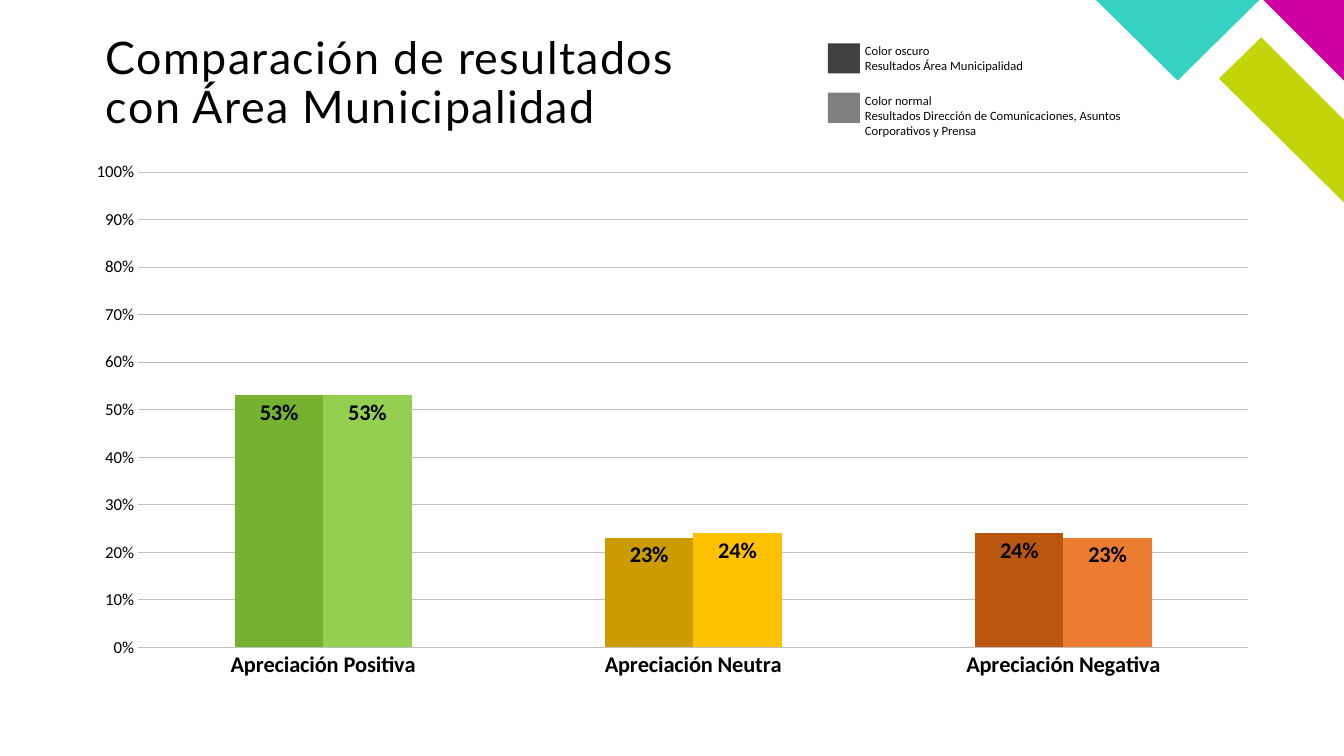
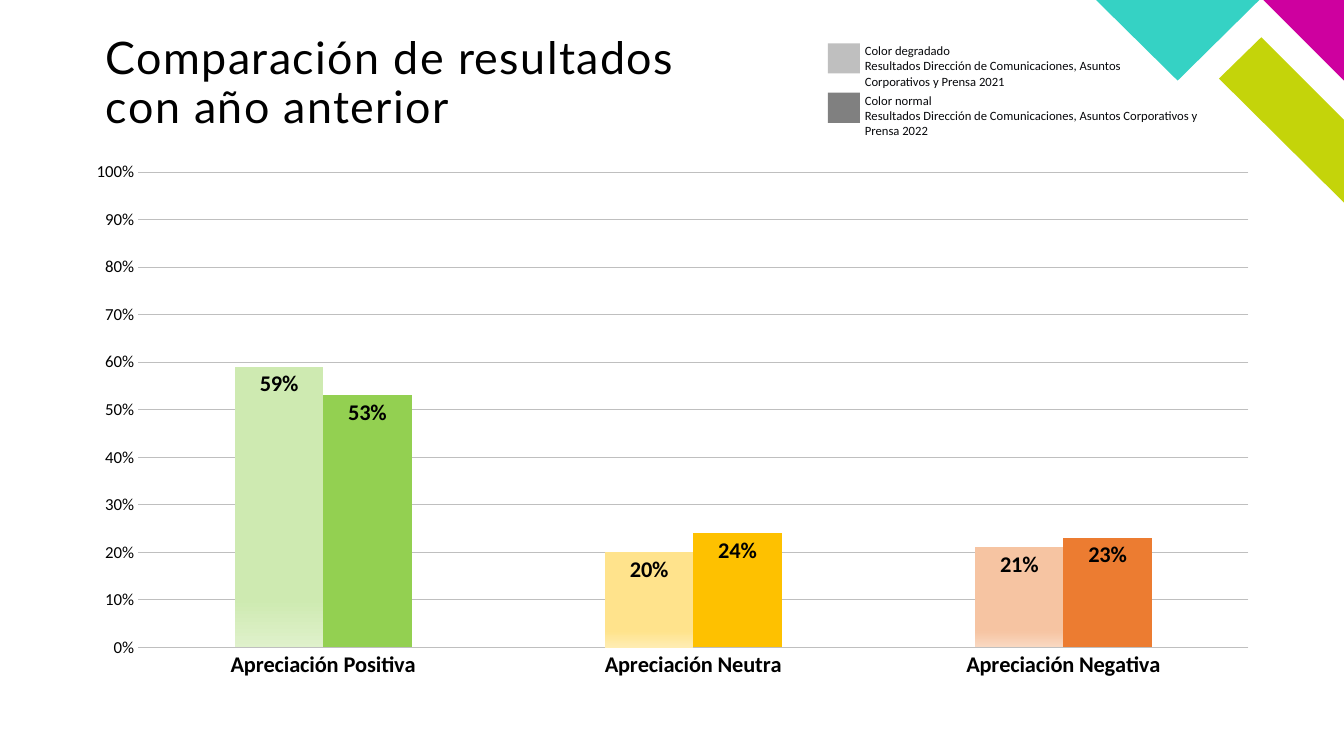
"""Build two slides that compare appreciation results in clustered columns."""
from pptx import Presentation
from pptx import util as u
from pptx.chart import data as chart_data
from pptx.dml import color
from pptx.enum import chart as ch, shapes

PX = 9144
CORNER = [
    ("C4D40A", [(1333, 201), (1333, 119), (1251, 37), (1209, 78)]),
    ("CE009F", [(1333, 80), (1333, 0), (1253, 0)]),
    ("35D2C4", [(1087, 0), (1168, 80), (1249, 0)]),
]
CATEGORIES = ["Apreciación Positiva", "Apreciación Neutra", "Apreciación Negativa"]
CURRENT = ([0.53, 0.24, 0.23], ["93D051", "FEC100", "EC7C31"])
OFFICE = "Resultados Dirección de Comunicaciones, Asuntos Corporativos y Prensa"
SLIDES = [
    {
        "title": "Comparación de resultados con Área Municipalidad",
        "legend": [
            ("404040", 318, "Color oscuro", "Resultados Área Municipalidad"),
            ("808080", 319, "Color normal", OFFICE),
        ],
        "series": [([0.53, 0.23, 0.24], ["74B230", "CC9B00", "BB5611"]), CURRENT],
    },
    {
        "title": "Comparación de resultados con año anterior",
        "legend": [
            ("BFBFBF", 316, "Color degradado", OFFICE + " 2021"),
            ("808080", 383, "Color normal", OFFICE + " 2022"),
        ],
        "series": [
            ([0.59, 0.2, 0.21],
             [("CEEAB1", "DFF1CB"), ("FFE38C", "FFEDB2"), ("F6C4A2", "F9D8C1")]),
            CURRENT,
        ],
    },
]


def rgb(value):
    """Turn a hex string into a colour."""
    return color.RGBColor.from_string(value)


def style(font, name, size, value="000000", bold=False):
    """Set the face, size, colour and weight of a font."""
    font.name, font.size, font.bold = name, u.Pt(size), bold
    font.color.rgb = rgb(value)


deck = Presentation()
deck.slide_width, deck.slide_height = 1333 * PX, 750 * PX

for content in SLIDES:
    page = deck.slides.add_slide(deck.slide_layouts[6])

    for fill, points in CORNER:
        builder = page.shapes.build_freeform(*points[0], scale=PX)
        builder.add_line_segments(points[1:], close=True)
        band = builder.convert_to_shape()
        band.shadow.inherit = False
        band.fill.solid()
        band.fill.fore_color.rgb = rgb(fill)
        band.line.fill.background()

    box = page.shapes.add_textbox(105 * PX, 36 * PX, 592 * PX, 114 * PX)
    frame = box.text_frame
    frame.word_wrap = True
    frame.margin_left = frame.margin_right = frame.margin_top = frame.margin_bottom = 0
    para = frame.paragraphs[0]
    para.line_spacing = 0.9
    span = para.add_run()
    span.text = content["title"]
    style(span.font, "Lato", 32)
    span.font._element.set("spc", "100")

    results = chart_data.CategoryChartData(number_format="0%")
    results.categories = CATEGORIES
    for number, (values, _) in enumerate(content["series"], 1):
        results.add_series(f"Series {number}", values)
    chart = page.shapes.add_chart(
        ch.XL_CHART_TYPE.COLUMN_CLUSTERED, 72 * PX, 150 * PX, 1190 * PX, 534 * PX, results
    ).chart
    chart.has_legend = chart.has_title = False
    style(chart.font, "Calibri", 10)

    axis = chart.category_axis
    axis.major_tick_mark = ch.XL_TICK_MARK.NONE
    axis.format.line.color.rgb = rgb("BFBFBF")
    axis.format.line.width = u.Pt(0.75)
    style(axis.tick_labels.font, "Calibri", 16, bold=True)

    axis = chart.value_axis
    axis.minimum_scale, axis.maximum_scale, axis.major_unit = 0, 1, 0.1
    axis.major_tick_mark = ch.XL_TICK_MARK.NONE
    axis.format.line.fill.background()
    axis.major_gridlines.format.line.color.rgb = rgb("BFBFBF")
    axis.major_gridlines.format.line.width = u.Pt(0.5)
    axis.tick_labels.number_format = "0%"
    axis.tick_labels.number_format_is_linked = False
    style(axis.tick_labels.font, "Calibri", 12)

    plot = chart.plots[0]
    plot.gap_width, plot.overlap = 219, 0
    plot.vary_by_categories = False
    for series, base, (_, fills) in zip(plot.series, ["35D2C4", "C3D600"], content["series"]):
        series.format.fill.solid()
        series.format.fill.fore_color.rgb = rgb(base)
        for index, tone in enumerate(fills):
            fill = series.points[index].format.fill
            if isinstance(tone, tuple):
                fill.gradient()
                fill.gradient_angle = 270
                for stop, position, shade in zip(fill.gradient_stops, [0.83, 1], tone):
                    stop.position = position
                    stop.color.rgb = rgb(shade)
            else:
                fill.solid()
                fill.fore_color.rgb = rgb(tone)
        labels = series.data_labels
        labels.show_value = True
        labels.position = ch.XL_LABEL_POSITION.INSIDE_END
        labels.number_format = "0%"
        labels.number_format_is_linked = False
        style(labels.font, "Calibri", 16, bold=True)

    for row, (fill, width, *lines) in enumerate(content["legend"]):
        top = 43 + 49 * row
        swatch = page.shapes.add_shape(
            shapes.MSO_SHAPE.RECTANGLE, 821 * PX, top * PX, 32 * PX, 30 * PX
        )
        swatch.shadow.inherit = False
        swatch.fill.solid()
        swatch.fill.fore_color.rgb = rgb(fill)
        swatch.line.fill.background()

        box = page.shapes.add_textbox(848 * PX, (top - 5) * PX, width * PX, 40 * PX)
        frame = box.text_frame
        frame.word_wrap = True
        for index, line in enumerate(lines):
            para = frame.add_paragraph() if index else frame.paragraphs[0]
            span = para.add_run()
            span.text = line
            style(span.font, "Calibri", 9, "07080B")

deck.save("out.pptx")
